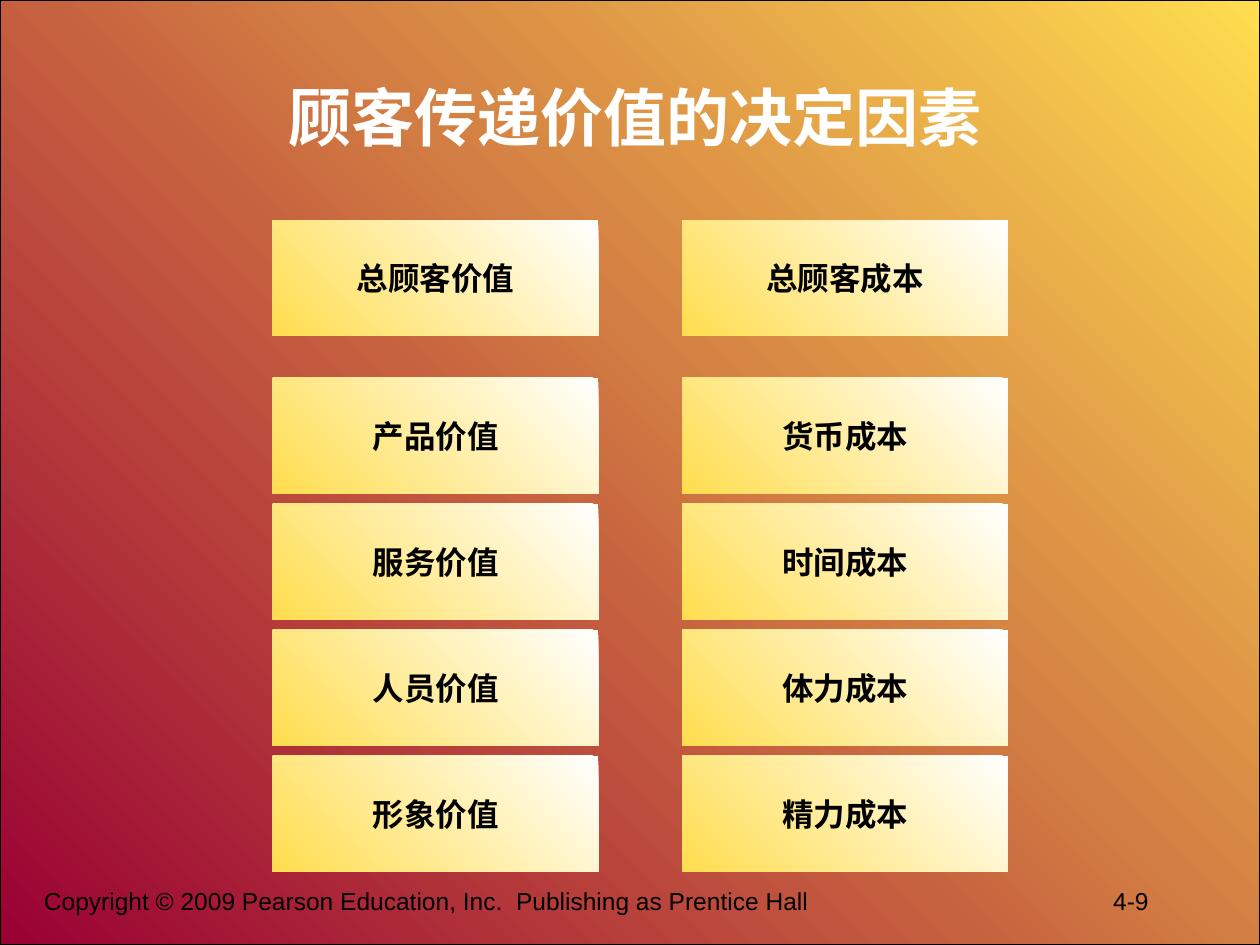
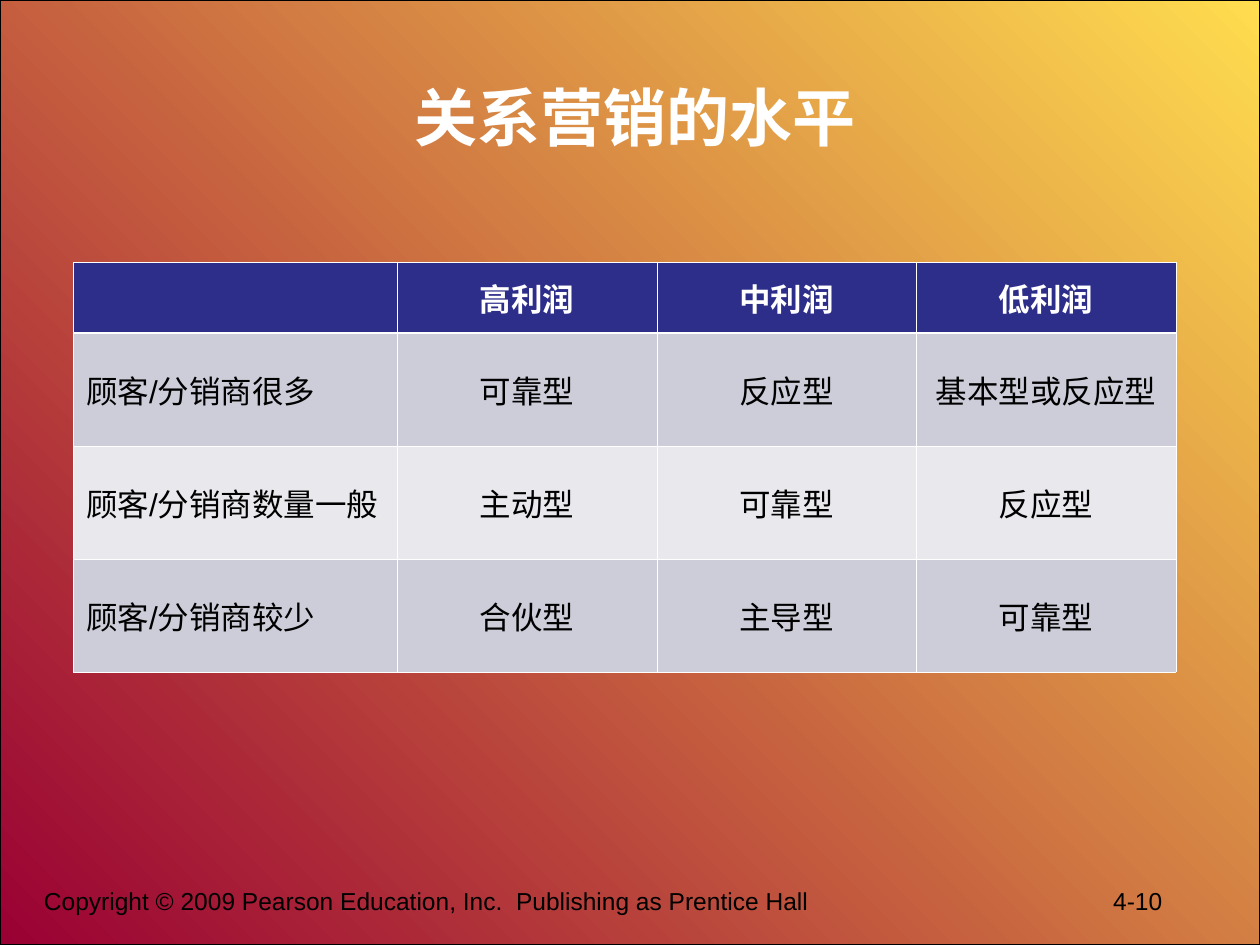
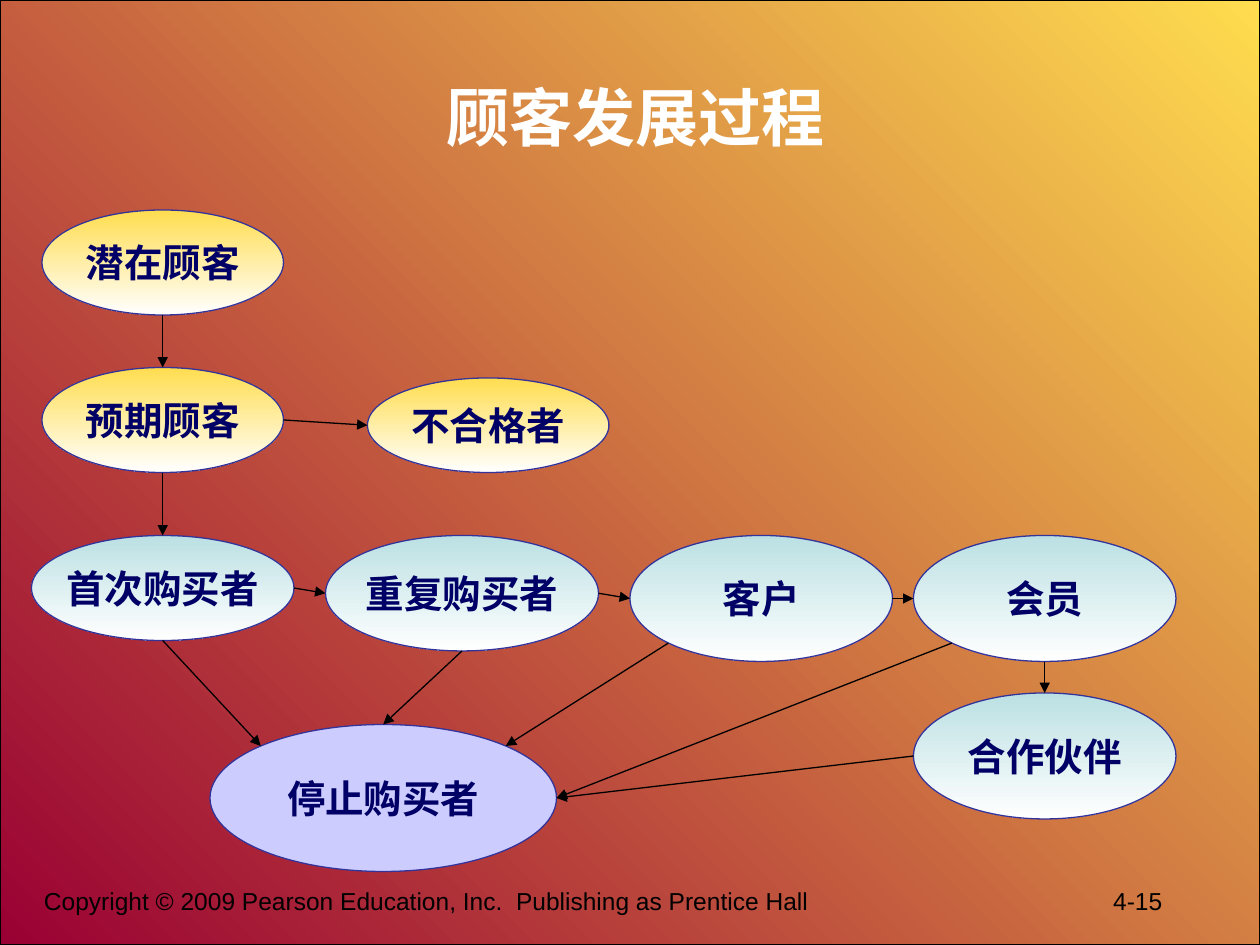
"""Build three slides on customer value, relationship marketing and customer development."""
import math

import lxml.etree
import pptx
import pptx.dml.color
import pptx.enum.shapes
import pptx.enum.text
import pptx.oxml.ns
import pptx.util

Pt = pptx.util.Pt
RGB = pptx.dml.color.RGBColor
SHAPE = pptx.enum.shapes.MSO_SHAPE
ALIGN = pptx.enum.text.PP_ALIGN
MIDDLE = pptx.enum.text.MSO_ANCHOR.MIDDLE
qn = pptx.oxml.ns.qn

WHITE = RGB(0xFF, 0xFF, 0xFF)
BLACK = RGB(0x00, 0x00, 0x00)
YELLOW = RGB(0xFF, 0xDD, 0x4F)
CRIMSON = RGB(0x99, 0x00, 0x33)
AQUA = RGB(0xBB, 0xE0, 0xE3)
LAVENDER = RGB(0xCC, 0xCC, 0xFF)
INDIGO = RGB(0x33, 0x33, 0x99)
NAVY = RGB(0x00, 0x00, 0x66)
HEADER = RGB(0x2D, 0x2D, 0x8A)
BANDS = (RGB(0xCD, 0xCD, 0xDA), RGB(0xE8, 0xE8, 0xED))

LATIN = "Arial"
CJK = "Noto Sans CJK SC"
WIDTH, HEIGHT = 720, 540
TO_LOWER_LEFT, DOWN = 225, 270

COPYRIGHT = "Copyright © 2009 Pearson Education, Inc.  Publishing as Prentice Hall"
PAGE_TAB = 611

VALUE_TITLE, VALUE_PAGE = "顾客传递价值的决定因素", "4-9"
VALUE_COLUMNS = [
    ("总顾客价值", ["产品价值", "服务价值", "人员价值", "形象价值"]),
    ("总顾客成本", ["货币成本", "时间成本", "体力成本", "精力成本"]),
]

LEVEL_TITLE, LEVEL_PAGE = "关系营销的水平", "4-10"
LEVEL_ROWS = [
    ("", "高利润", "中利润", "低利润"),
    ("顾客/分销商很多", "可靠型", "反应型", "基本型或反应型"),
    ("顾客/分销商数量一般", "主动型", "可靠型", "反应型"),
    ("顾客/分销商较少", "合伙型", "主导型", "可靠型"),
]
LEVEL_WIDTHS = (185.1, 148.3, 148.3, 148.3)
LEVEL_HEIGHTS = (40.5, 64.5, 64.5, 64.5)

PROCESS_TITLE, PROCESS_PAGE = "顾客发展过程", "4-15"
STAGES = {
    "潜在顾客": (24, 120, 138, 60, YELLOW),
    "预期顾客": (24, 210, 138, 60, YELLOW),
    "不合格者": (210, 216, 138, 54, YELLOW),
    "首次购买者": (18, 306, 150, 60, AQUA),
    "重复购买者": (186, 306, 156, 66, AQUA),
    "客户": (360, 306, 150, 72, AQUA),
    "会员": (522, 306, 150, 72, AQUA),
    "合作伙伴": (522, 396, 150, 72, AQUA),
    "停止购买者": (120, 414, 198, 84, LAVENDER),
}
RIGHT, TOP_RIGHT, TOP, TOP_LEFT, LEFT, BOTTOM_LEFT, BOTTOM = range(0, 315, 45)
FLOWS = [
    ("潜在顾客", BOTTOM, "预期顾客", TOP),
    ("预期顾客", BOTTOM, "首次购买者", TOP),
    ("预期顾客", RIGHT, "不合格者", LEFT),
    ("首次购买者", RIGHT, "重复购买者", LEFT),
    ("重复购买者", RIGHT, "客户", LEFT),
    ("客户", RIGHT, "会员", LEFT),
    ("会员", BOTTOM, "合作伙伴", TOP),
    ("首次购买者", BOTTOM, "停止购买者", TOP_LEFT),
    ("重复购买者", BOTTOM, "停止购买者", TOP),
    ("客户", BOTTOM_LEFT, "停止购买者", TOP_RIGHT),
    ("会员", BOTTOM_LEFT, "停止购买者", RIGHT),
    ("合作伙伴", LEFT, "停止购买者", RIGHT),
]


def write(tf, text, size, color, bold=False, align=None, latin=LATIN):
    tf.text = text
    p = tf.paragraphs[0]
    p.alignment = align
    for r in p.runs:
        r.font.size, r.font.bold, r.font.name = Pt(size), bold, latin
        r.font.color.rgb = color
        ea = lxml.etree.Element(qn("a:ea"), typeface=CJK)
        r.font._element.find(qn("a:latin")).addnext(ea)


def add_block(s, kind, box, fill, angle=None, line=None):
    sp = s.shapes.add_shape(kind, *map(Pt, box))
    sp.shadow.inherit = False
    if angle is None:
        sp.fill.solid()
        sp.fill.fore_color.rgb = fill
    else:
        sp.fill.gradient()
        sp.fill.gradient_angle = angle
        for stop, color in zip(sp.fill.gradient_stops, fill):
            stop.color.rgb = color
    if line is None:
        sp.line.fill.background()
    else:
        sp.line.color.rgb = line
        sp.line.width = Pt(0.75)
    return sp


def label(sp, text, size, color):
    tf = sp.text_frame
    tf.word_wrap = False
    tf.vertical_anchor = MIDDLE
    write(tf, text, size, color, True, ALIGN.CENTER)


def add_slide(prs, title, page):
    s = prs.slides.add_slide(prs.slide_layouts[5])
    sp = s.shapes.title
    sp.left, sp.top, sp.width, sp.height = map(Pt, (60, 21.6, 606, 90))
    sp.text_frame.vertical_anchor = MIDDLE
    write(sp.text_frame, title, 36, WHITE, True, ALIGN.CENTER, CJK)
    tf = s.shapes.add_textbox(*map(Pt, (18, 502.5, 672, 37.5))).text_frame
    tf.word_wrap = True
    write(tf, f"{COPYRIGHT}\t{page}", 14, BLACK)
    tabs = lxml.etree.SubElement(tf.paragraphs[0]._p.get_or_add_pPr(), qn("a:tabLst"))
    lxml.etree.SubElement(tabs, qn("a:tab"), pos=str(Pt(PAGE_TAB)), algn="l")
    return s


def add_master_backdrop(prs, s):
    sp = add_block(s, SHAPE.RECTANGLE, (0, 0, WIDTH, HEIGHT), (YELLOW, CRIMSON),
                   TO_LOWER_LEFT, BLACK)
    prs.slide_master.element.cSld.spTree.insert(2, sp._element)


def build_value(s):
    for col, (total, parts) in enumerate(VALUE_COLUMNS):
        tops = [126] + [216 + 72 * i for i in range(len(parts))]
        for top, text in zip(tops, [total] + parts):
            sp = add_block(s, SHAPE.RECTANGLE, (156 + 234 * col, top, 186, 66),
                           (WHITE, YELLOW), TO_LOWER_LEFT)
            label(sp, text, 18, BLACK)


def set_borders(cell, row):
    widths = {"L": 0.45, "R": 0.45, "T": 1.47 if row == 1 else 0.45,
              "B": 1.47 if row == 0 else 0.45}
    for i, (side, width) in enumerate(widths.items()):
        ln = lxml.etree.Element(qn(f"a:ln{side}"), w=str(Pt(width)))
        fill = lxml.etree.SubElement(ln, qn("a:solidFill"))
        lxml.etree.SubElement(fill, qn("a:srgbClr"), val=str(WHITE))
        cell._tc.get_or_add_tcPr().insert(i, ln)


def build_levels(s):
    box = (42, 150, sum(LEVEL_WIDTHS), sum(LEVEL_HEIGHTS))
    table = s.shapes.add_table(len(LEVEL_ROWS), len(LEVEL_WIDTHS), *map(Pt, box)).table
    table.horz_banding = False
    for column, width in zip(table.columns, LEVEL_WIDTHS):
        column.width = Pt(width)
    for i, (texts, height) in enumerate(zip(LEVEL_ROWS, LEVEL_HEIGHTS)):
        table.rows[i].height = Pt(height)
        for j, text in enumerate(texts):
            cell = table.cell(i, j)
            cell.vertical_anchor = MIDDLE
            cell.fill.solid()
            cell.fill.fore_color.rgb = BANDS[(i - 1) % 2] if i else HEADER
            write(cell.text_frame, text, 18, BLACK if i else WHITE, i == 0,
                  ALIGN.CENTER if j else ALIGN.LEFT)
            set_borders(cell, i)


def rim_point(name, degrees):
    x, y, w, h, _ = STAGES[name]
    a = math.radians(degrees)
    return Pt(x + w / 2 * (1 + math.cos(a))), Pt(y + h / 2 * (1 - math.sin(a)))


def build_process(s):
    for name, (*box, color) in STAGES.items():
        if color == LAVENDER:
            sp = add_block(s, SHAPE.OVAL, box, color, line=INDIGO)
        else:
            sp = add_block(s, SHAPE.OVAL, box, (color, WHITE), DOWN, INDIGO)
        label(sp, name, 22, NAVY)
    for start, leave, end, enter in FLOWS:
        c = s.shapes.add_connector(pptx.enum.shapes.MSO_CONNECTOR.STRAIGHT,
                                   *rim_point(start, leave), *rim_point(end, enter))
        c.line.color.rgb = BLACK
        c.line.width = Pt(0.75)
        lxml.etree.SubElement(c.line._get_or_add_ln(), qn("a:tailEnd"), type="triangle")
        lxml.etree.SubElement(c._element.spPr, qn("a:effectLst"))


def main():
    prs = pptx.Presentation()
    prs.slide_width, prs.slide_height = Pt(WIDTH), Pt(HEIGHT)
    s = add_slide(prs, VALUE_TITLE, VALUE_PAGE)
    add_master_backdrop(prs, s)
    build_value(s)
    build_levels(add_slide(prs, LEVEL_TITLE, LEVEL_PAGE))
    build_process(add_slide(prs, PROCESS_TITLE, PROCESS_PAGE))
    prs.save("out.pptx")


if __name__ == "__main__":
    main()
